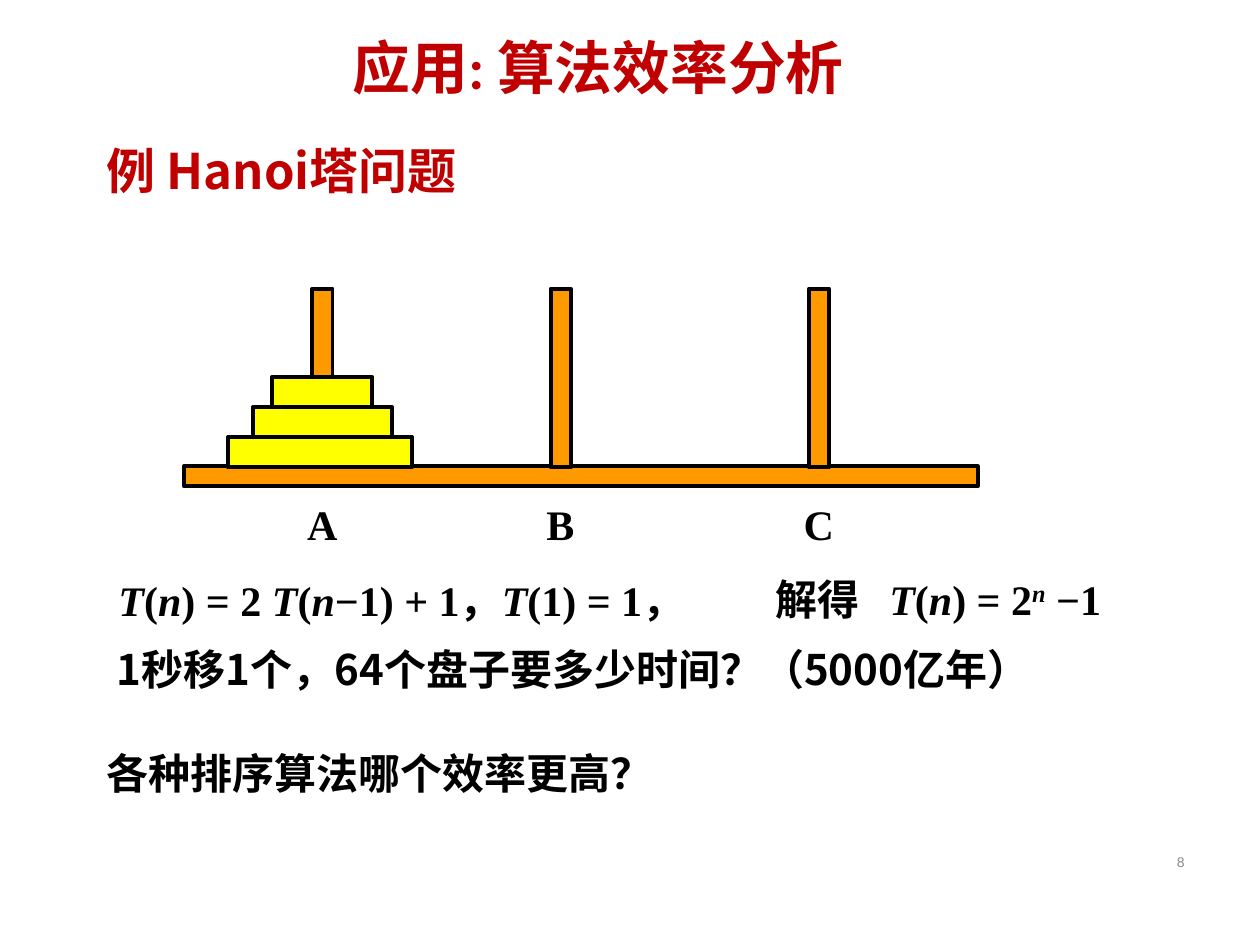
from dataclasses import dataclass
from typing import NamedTuple

from pptx import Presentation
from pptx.dml.color import RGBColor
from pptx.enum.shapes import MSO_SHAPE as Preset
from pptx.enum.text import MSO_ANCHOR as Anchor, PP_ALIGN as Align
from pptx.oxml.ns import qn
from pptx.util import Inches, Pt
from lxml.etree import SubElement

RED, BLACK, GREY = "C00000", "000000", "898989"
ORANGE, YELLOW = "FF9900", "FFFF00"
SANS, SERIF = "Noto Sans CJK SC", "Times New Roman"


class Box(NamedTuple):
    left: float
    top: float
    width: float
    height: float


class Run(NamedTuple):
    text: str
    italic: bool = False
    raised: bool = False


@dataclass
class Text:
    box: Box
    runs: list[Run]
    size: float = 24
    font: str = SERIF
    color: str = BLACK
    bold: bool = True
    anchor: Anchor = Anchor.TOP
    align: Align = Align.LEFT
    margin_left: float = 0.1
    margin_top: float = 0.05
    tabs: tuple[tuple[float, str], ...] = ()


def rgb(value: str) -> RGBColor:
    return RGBColor.from_string(value)


def place(shape, box: Box) -> None:
    for name, value in box._asdict().items():
        setattr(shape, name, Inches(value))


def write(shape, text: Text) -> None:
    """Fill a text box or placeholder with one formatted paragraph."""
    frame = shape.text_frame
    frame_format = {
        "word_wrap": True,
        "vertical_anchor": text.anchor,
        "margin_left": Inches(text.margin_left),
        "margin_top": Inches(text.margin_top),
    }
    for name, value in frame_format.items():
        setattr(frame, name, value)
    paragraph = frame.paragraphs[0]
    paragraph.alignment = text.align
    if text.tabs:
        tab_list = SubElement(paragraph._p.get_or_add_pPr(), qn("a:tabLst"))
        for position, kind in text.tabs:
            SubElement(tab_list, qn("a:tab"), pos=str(Inches(position)), algn=kind)
    for part in text.runs:
        run = paragraph.add_run()
        run.text = part.text
        font_format = {"size": Pt(text.size), "name": text.font,
                       "bold": text.bold, "italic": part.italic}
        for name, value in font_format.items():
            setattr(run.font, name, value)
        run.font.color.rgb = rgb(text.color)
        properties = run._r.get_or_add_rPr()
        SubElement(properties, qn("a:ea"), typeface=SANS)
        if part.raised:
            properties.set("baseline", "30000")


def add_text(slide, text: Text) -> None:
    write(slide.shapes.add_textbox(*map(Inches, text.box)), text)


def add_bar(slide, box: Box, color: str) -> None:
    shape = slide.shapes.add_shape(Preset.RECTANGLE, *map(Inches, box))
    shape.shadow.inherit = False
    shape.fill.solid()
    shape.fill.fore_color.rgb = rgb(color)
    shape.line.color.rgb = rgb(BLACK)
    shape.line.width = Pt(2.25)


def formula(source: str) -> list[Run]:
    """Set the letters T and n in italics; ^ raises the letter after it."""
    runs, raised, plain = [], False, ""
    for letter in source:
        if letter in "Tn^":
            if plain:
                runs.append(Run(plain))
            plain = ""
            if letter != "^":
                runs.append(Run(letter, True, raised))
            raised = letter == "^"
        else:
            plain += letter
    return runs + [Run(plain)]


def main() -> None:
    presentation = Presentation()
    presentation.slide_width, presentation.slide_height = Inches(10), Inches(7.5)
    slide = presentation.slides.add_slide(presentation.slide_layouts[5])

    # Title
    title = Text(Box(0.83, 0.21, 9, 0.71), [Run("应用: 算法效率分析")], 33, "Calibri",
                 RED, anchor=Anchor.MIDDLE, margin_left=1.97)
    place(slide.shapes.title, title.box)
    write(slide.shapes.title, title)
    slide.shapes.title.text_frame.paragraphs[0].line_spacing = 0.9

    # Tower: base, pegs, then discs from the bottom up
    base_top, disc_height, peg_width = 3.7, 0.24, 0.16
    peg_lefts = (2.48, 4.37, 6.42)
    add_bar(slide, Box(1.46, base_top, 6.3, 0.16), ORANGE)
    for left in peg_lefts:
        add_bar(slide, Box(left, 2.29, peg_width, 1.42), ORANGE)
    for level, (left, width) in enumerate([(1.81, 1.46), (2.01, 1.1), (2.16, 0.79)]):
        top = base_top + 0.01 - disc_height * (level + 1)
        add_bar(slide, Box(left, top, width, disc_height), YELLOW)

    # Peg labels, centred under the pegs by tab stops
    labels = Box(2.16, 3.91, 5.46, 0.5)
    label_tabs = tuple((left + peg_width / 2 - labels.left - 0.1, "ctr")
                       for left in peg_lefts)

    # Heading, labels, formulas, questions and slide number
    texts = [
        Text(Box(0.75, 1.07, 4.41, 0.57), [Run("例 Hanoi塔问题")], 28, SANS, RED),
        Text(labels, [Run("\tA\tB\tC")], tabs=label_tabs),
        Text(Box(0.59, 4.51, 5.28, 0.5), formula("T(n) = 2 T(n−1) + 1，T(1) = 1，"),
             anchor=Anchor.MIDDLE, margin_left=0.35),
        Text(Box(6.06, 4.29, 2.87, 0.8), formula("解得\tT(n) = 2^n −1"),
             margin_top=0.26, tabs=((0.9, "l"),)),
        Text(Box(0.83, 5.06, 8.1, 0.5),
             [Run("1秒移1个，64个盘子要多少时间？（5000亿年）")], font=SANS),
        Text(Box(0.75, 5.88, 8.1, 0.9), [Run("各种排序算法哪个效率更高？")], font=SANS),
        Text(Box(7.17, 6.64, 2.33, 0.4), [Run("8")], 8, "Arial", GREY, False,
             Anchor.MIDDLE, Align.RIGHT),
    ]
    for text in texts:
        add_text(slide, text)

    presentation.save("out.pptx")


if __name__ == "__main__":
    main()
